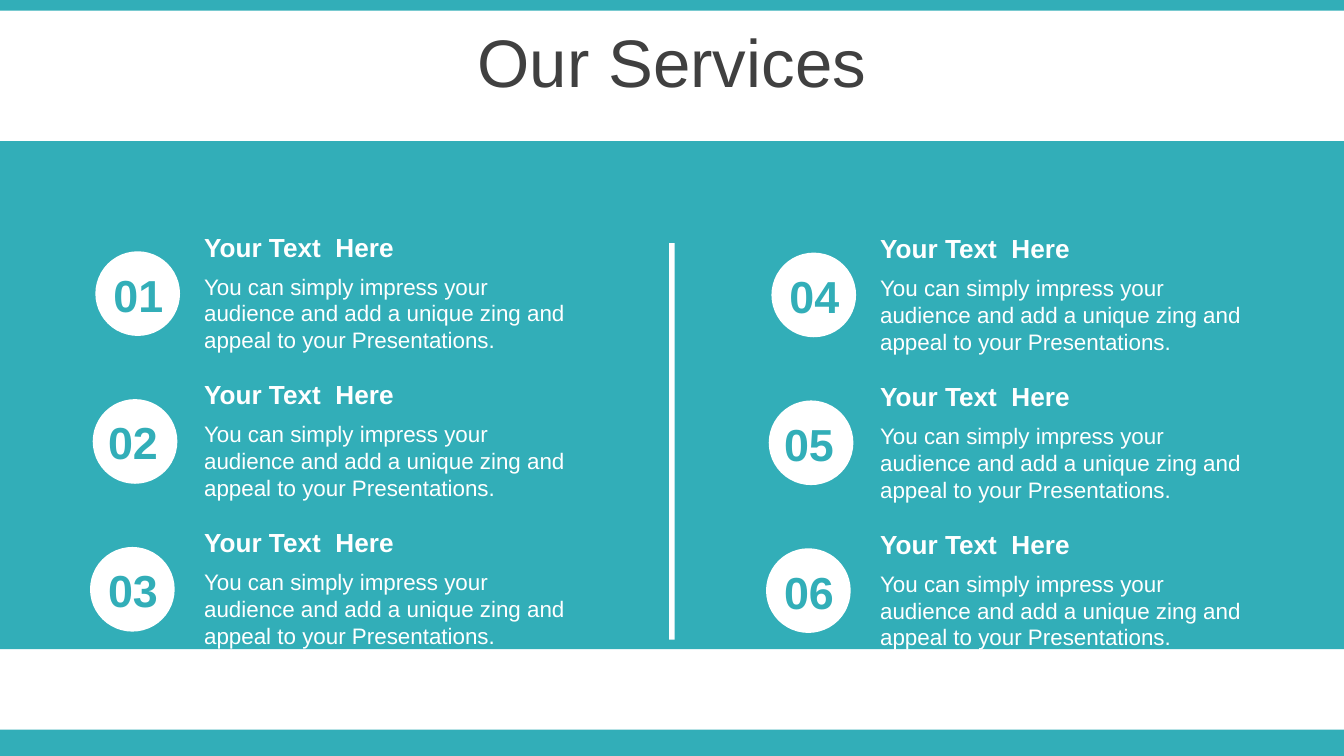
import pptx
import pptx.util
import pptx.dml.color
import pptx.enum.shapes
import pptx.enum.text

Inches = pptx.util.Inches
Pt = pptx.util.Pt
RGBColor = pptx.dml.color.RGBColor
Shape = pptx.enum.shapes.MSO_SHAPE
Align = pptx.enum.text.PP_ALIGN
Anchor = pptx.enum.text.MSO_ANCHOR

TEAL = RGBColor(0x32, 0xAE, 0xB8)
WHITE = RGBColor(0xFF, 0xFF, 0xFF)
GRAY = RGBColor(0x40, 0x40, 0x40)

FONT = "Arial"
HEAD = "Your Text  Here"
BODY = ("You can simply impress your audience and add a unique zing "
        "and appeal to your Presentations.")
ROWS = 3
PITCH = 1.1
COLUMNS = [(0, 0), (5.03, 0.01)]
DISC_X = [0.71, 0.69, 0.67]
LABEL_X = [0.68, 0.64, 0.64]


def add_fill(shapes, kind, left, top, width, height, color):
    shape = shapes.add_shape(kind, Inches(left), Inches(top),
                             Inches(width), Inches(height))
    shape.shadow.inherit = False
    shape.fill.solid()
    shape.fill.fore_color.rgb = color
    shape.line.fill.background()


def add_text(shapes, text, left, top, width, height, size, color,
             bold=False, align=Align.LEFT, anchor=Anchor.TOP):
    box = shapes.add_textbox(Inches(left), Inches(top),
                             Inches(width), Inches(height))
    frame = box.text_frame
    frame.word_wrap = True
    frame.vertical_anchor = anchor
    para = frame.paragraphs[0]
    para.alignment = align
    run = para.add_run()
    run.text = text
    run.font.name = FONT
    run.font.size = Pt(size)
    run.font.bold = bold
    run.font.color.rgb = color


def add_item(shapes, number, row, left, top):
    add_fill(shapes, Shape.OVAL, left + DISC_X[row], top + 1.87,
             0.63, 0.63, WHITE)
    group = shapes.add_group_shape()
    add_text(group.shapes, BODY, left + 1.42, top + 1.98, 2.91, 0.71,
             12, WHITE)
    add_text(group.shapes, HEAD, left + 1.42, top + 1.67, 2.91, 0.34,
             14, WHITE, bold=True)
    add_text(shapes, f"{number:02}", left + LABEL_X[row], top + 1.94,
             0.7, 0.5, 24, TEAL, bold=True, align=Align.CENTER)


def main():
    deck = pptx.Presentation()
    deck.slide_width = Inches(10)
    deck.slide_height = Inches(10) * 9 // 16
    slide = deck.slides.add_slide(deck.slide_layouts[6])
    shapes = slide.shapes

    for top, height in [(5.43, 0.2), (0, 0.08), (1.05, 3.78)]:
        add_fill(shapes, Shape.RECTANGLE, 0, top, 10, height, TEAL)
    add_text(shapes, "Our Services", 0, 0.14, 10, 0.63, 36, GRAY,
             align=Align.CENTER, anchor=Anchor.MIDDLE)
    add_fill(shapes, Shape.RECTANGLE, 4.98, 1.81, 0.04, 2.95, WHITE)

    for col, (left, top) in enumerate(COLUMNS):
        for row in range(ROWS):
            add_item(shapes, col * ROWS + row + 1, row,
                     left, top + row * PITCH)

    deck.save("out.pptx")


if __name__ == "__main__":
    main()
